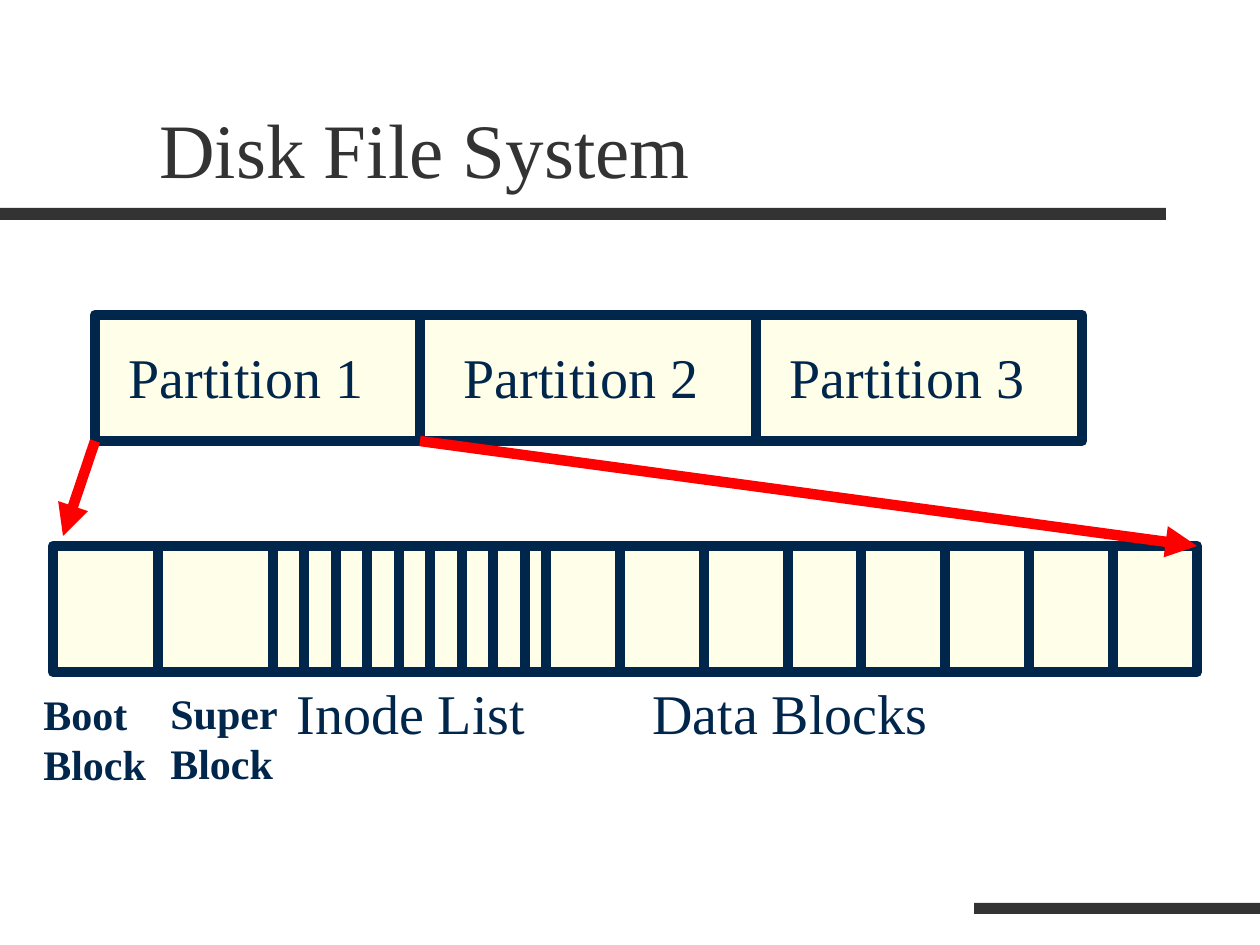
"""Build the Disk File System slide: three partitions and the layout of the first."""
from lxml.etree import SubElement
from pptx import Presentation
from pptx.dml.color import RGBColor
from pptx.enum.shapes import MSO_CONNECTOR as Connector, MSO_SHAPE as Shape
from pptx.enum.text import MSO_ANCHOR as Anchor
from pptx.oxml.ns import qn
from pptx.util import Inches, Pt

PIXEL = Inches(1) / 126
NAVY, CREAM, GRAY, RED = "00264C", "FFFFE9", "333333", "FF0000"
FONT = "Times New Roman"
LINE_WIDTH = Pt(6)


def color(hex_code):
    return RGBColor.from_string(hex_code)


def emu(*pixels):
    return [round(pixel * PIXEL) for pixel in pixels]


deck = Presentation()
deck.slide_width, deck.slide_height = emu(1260, 945)
page = deck.slides.add_slide(deck.slide_layouts[6])

DISK_TOP, DISK_BOTTOM = 315, 441
LAYOUT_TOP, LAYOUT_BOTTOM = 546, 672

boxes = [
    (0, 208, 1166, 12, GRAY, None),
    (974, 903, 286, 11, GRAY, None),
    (95, DISK_TOP, 987, DISK_BOTTOM - DISK_TOP, CREAM, NAVY),
    (53, LAYOUT_TOP, 1144, LAYOUT_BOTTOM - LAYOUT_TOP, CREAM, NAVY),
]
for left, top, width, height, fill, outline in boxes:
    box = page.shapes.add_shape(Shape.RECTANGLE, *emu(left, top, width, height))
    box.shadow.inherit = False
    box.fill.solid()
    box.fill.fore_color.rgb = color(fill)
    if outline:
        box.line.color.rgb = color(outline)
        box.line.width = LINE_WIDTH
    else:
        box.line.fill.background()

inode_edges = [273 + 63 * index // 2 for index in range(9)]
data_edges = [546, *range(620, 789, 84), *range(861, 1198, 84)]
lines = [(x, DISK_TOP, x, DISK_BOTTOM, NAVY) for x in (420, 756)]
lines += [(x, LAYOUT_TOP, x, LAYOUT_BOTTOM, NAVY) for x in [158, *inode_edges, *data_edges]]
lines += [
    (95, DISK_BOTTOM, 63, 536, RED),
    (420, DISK_BOTTOM, 1197, LAYOUT_TOP, RED),
]
for *ends, stroke in lines:
    line = page.shapes.add_connector(Connector.STRAIGHT, *emu(*ends))
    line.line.color.rgb = color(stroke)
    line.line.width = LINE_WIDTH
    if stroke == RED:
        SubElement(line.line._get_or_add_ln(), qn("a:tailEnd"), type="triangle")
    SubElement(line._element.spPr, qn("a:effectLst"))

labels = [
    ("Disk File System", 147, 42, 1071, 158, 44, GRAY, False, Anchor.BOTTOM),
    ("Partition 1", 116, 336, 294, 81, 32, NAVY, False, Anchor.TOP),
    ("Partition 2", 451, 336, 294, 81, 32, NAVY, False, Anchor.TOP),
    ("Partition 3", 777, 336, 294, 81, 32, NAVY, False, Anchor.TOP),
    ("Inode List", 284, 672, 294, 81, 32, NAVY, False, Anchor.TOP),
    ("Data Blocks", 640, 672, 378, 81, 32, NAVY, False, Anchor.TOP),
    ("Boot Block", 31, 682, 179, 113, 24, NAVY, True, Anchor.TOP),
    ("Super Block", 158, 681, 179, 113, 24, NAVY, True, Anchor.TOP),
]
for text, left, top, width, height, size, ink, bold, anchor in labels:
    frame = page.shapes.add_textbox(*emu(left, top, width, height)).text_frame
    frame.word_wrap = True
    frame.vertical_anchor = anchor
    para = frame.paragraphs[0]
    para.text = text
    para.font.name = FONT
    para.font.size = Pt(size)
    para.font.bold = bold
    para.font.color.rgb = color(ink)

deck.save("out.pptx")
